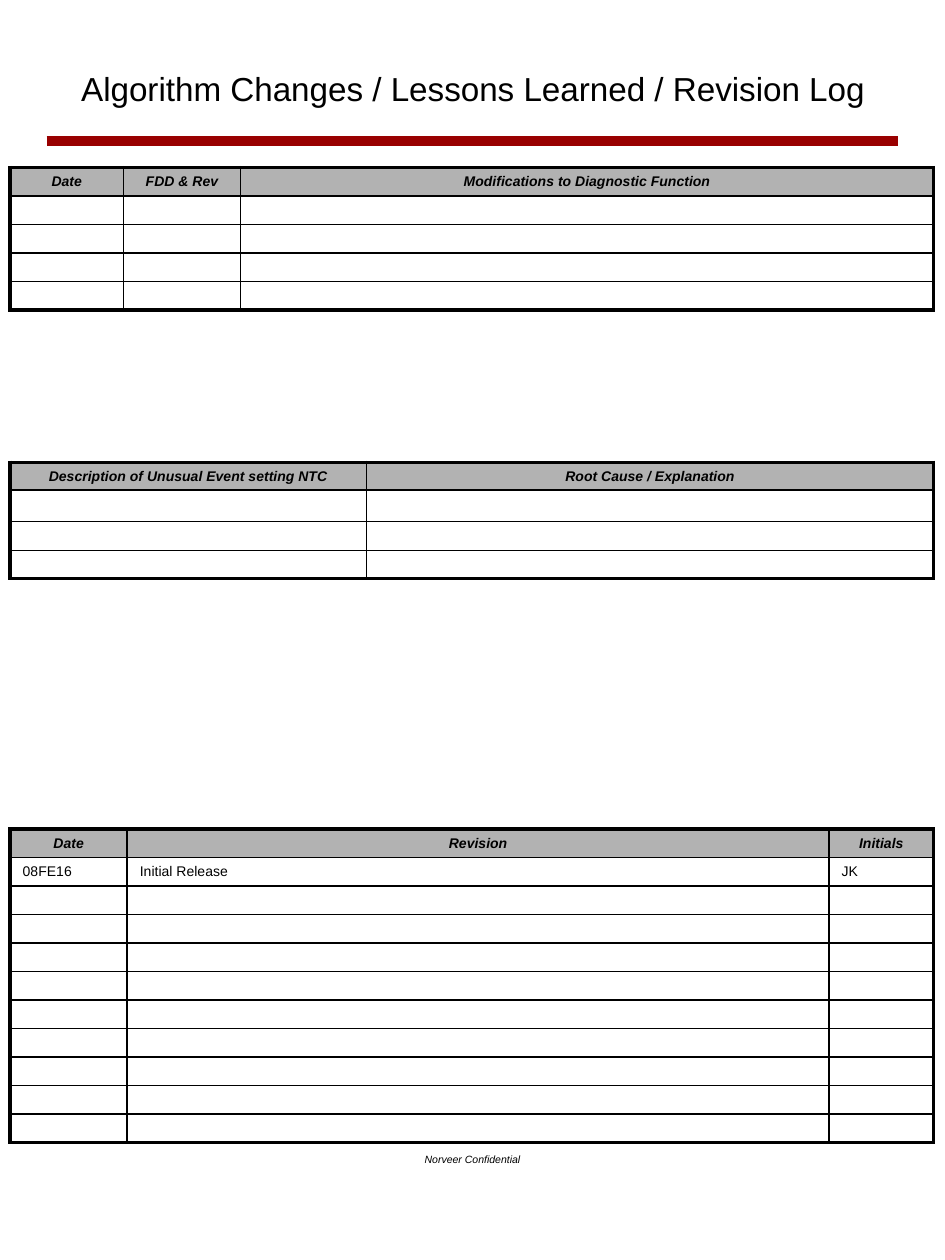
import pptx
import pptx.dml.color
import pptx.enum.shapes
import pptx.enum.text
import pptx.oxml.ns
import pptx.util
import lxml.etree

Inches = pptx.util.Inches
Pt = pptx.util.Pt
CENTER = pptx.enum.text.PP_ALIGN.CENTER
MIDDLE = pptx.enum.text.MSO_ANCHOR.MIDDLE


def add_element(parent, tag, **attributes):
    return lxml.etree.SubElement(parent, pptx.oxml.ns.qn(tag), **attributes)


class LogPage:
    colours = {"text": "000000", "border": "000000", "header": "B2B2B2", "rule": "990000"}
    font_name = "Arial"
    table_left, table_width = 0.08, 7.33
    table_size = 8
    thin, thick = 1, 2.25

    def __init__(self, presentation):
        self.slide = presentation.slides.add_slide(presentation.slide_layouts[5])

    def colour(self, name):
        return pptx.dml.color.RGBColor.from_string(self.colours[name])

    def style(self, paragraph, size, bold=False, italic=False):
        font = paragraph.font
        font.name, font.size = self.font_name, Pt(size)
        font.bold, font.italic = bold, italic
        font.color.rgb = self.colour("text")

    def set_text(self, shape, text, size, anchor, italic=False):
        frame = shape.text_frame
        frame.word_wrap = True
        frame.vertical_anchor = anchor
        frame.margin_left = frame.margin_right = Inches(0.08)
        frame.margin_top = frame.margin_bottom = Inches(0.04)
        paragraph = frame.paragraphs[0]
        paragraph.text = text
        paragraph.alignment = CENTER
        self.style(paragraph, size, italic=italic)

    def title(self, text, left, top, width, height):
        shape = self.slide.shapes.title
        shape.left, shape.top = Inches(left), Inches(top)
        shape.width, shape.height = Inches(width), Inches(height)
        self.set_text(shape, text, 19, MIDDLE)

    def footer(self, text, left, top, width, height):
        shape = self.slide.shapes.add_textbox(
            Inches(left), Inches(top), Inches(width), Inches(height))
        self.set_text(shape, text, 6, pptx.enum.text.MSO_ANCHOR.TOP, italic=True)

    def rule(self, left, right, top):
        line = self.slide.shapes.add_connector(
            pptx.enum.shapes.MSO_CONNECTOR.STRAIGHT,
            Inches(left), Inches(top), Inches(right), Inches(top))
        line.line.color.rgb = self.colour("rule")
        line.line.width = Pt(6)
        add_element(line._element.spPr, "a:effectLst")

    def borders(self, cell, outer_edges):
        properties = cell._tc.get_or_add_tcPr()
        for edge in "LRTB":
            width = self.thick if edge in outer_edges else self.thin
            line = add_element(properties, f"a:ln{edge}", w=str(Pt(width)))
            fill = add_element(line, "a:solidFill")
            add_element(fill, "a:srgbClr", val=self.colours["border"])

    def cell(self, cell, text, is_header, outer_edges):
        self.borders(cell, outer_edges)
        if is_header:
            cell.fill.solid()
            cell.fill.fore_color.rgb = self.colour("header")
        else:
            cell.fill.background()
        cell.vertical_anchor = MIDDLE
        cell.margin_left = cell.margin_right = Inches(0.1)
        cell.margin_top = cell.margin_bottom = Inches(0.02)
        paragraph = cell.text_frame.paragraphs[0]
        self.style(paragraph, self.table_size, bold=is_header, italic=is_header)
        if is_header:
            paragraph.alignment = CENTER
        if text:
            paragraph.text = text
        else:
            add_element(paragraph._p, "a:endParaRPr", sz=str(self.table_size * 100))

    def table(self, top, column_widths, row_heights, filled_rows):
        row_count, column_count = len(row_heights), len(column_widths)
        table = self.slide.shapes.add_table(
            row_count, column_count, Inches(self.table_left), Inches(top),
            Inches(self.table_width), Inches(sum(row_heights))).table
        table.first_row = table.horz_banding = False
        for column, width in zip(table.columns, column_widths):
            column.width = Inches(width)
        for row, height in zip(table.rows, row_heights):
            row.height = Inches(height)
        for i in range(row_count):
            for j in range(column_count):
                text = filled_rows[i][j] if i < len(filled_rows) else ""
                on_edge = {"L": j == 0, "R": j == column_count - 1,
                           "T": i == 0, "B": i == row_count - 1}
                outer_edges = [edge for edge, outer in on_edge.items() if outer]
                self.cell(table.cell(i, j), text, i == 0, outer_edges)


def main():
    presentation = pptx.Presentation()
    presentation.slide_width, presentation.slide_height = Inches(7.5), Inches(10)
    page = LogPage(presentation)
    page.title("Algorithm Changes / Lessons Learned / Revision Log", 0.38, 0.4, 6.75, 0.6)
    page.rule(0.37, 7.13, 1.12)
    page.footer("Norveer Confidential", 2.56, 9.11, 2.38, 0.69)
    page.table(6.58, [0.93, 5.57, 0.83], [2.49 / 11] * 11,
               [["Date", "Revision", "Initials"], ["08FE16", "Initial Release", "JK"]])
    page.table(3.67, [2.83, 4.5], [0.22, 0.25, 0.23, 0.22],
               [["Description of Unusual Event setting NTC", "Root Cause / Explanation"]])
    page.table(1.33, [0.9, 0.93, 5.5], [1.13 / 5] * 5,
               [["Date", "FDD & Rev", "Modifications to Diagnostic Function"]])
    presentation.save("out.pptx")


if __name__ == "__main__":
    main()
